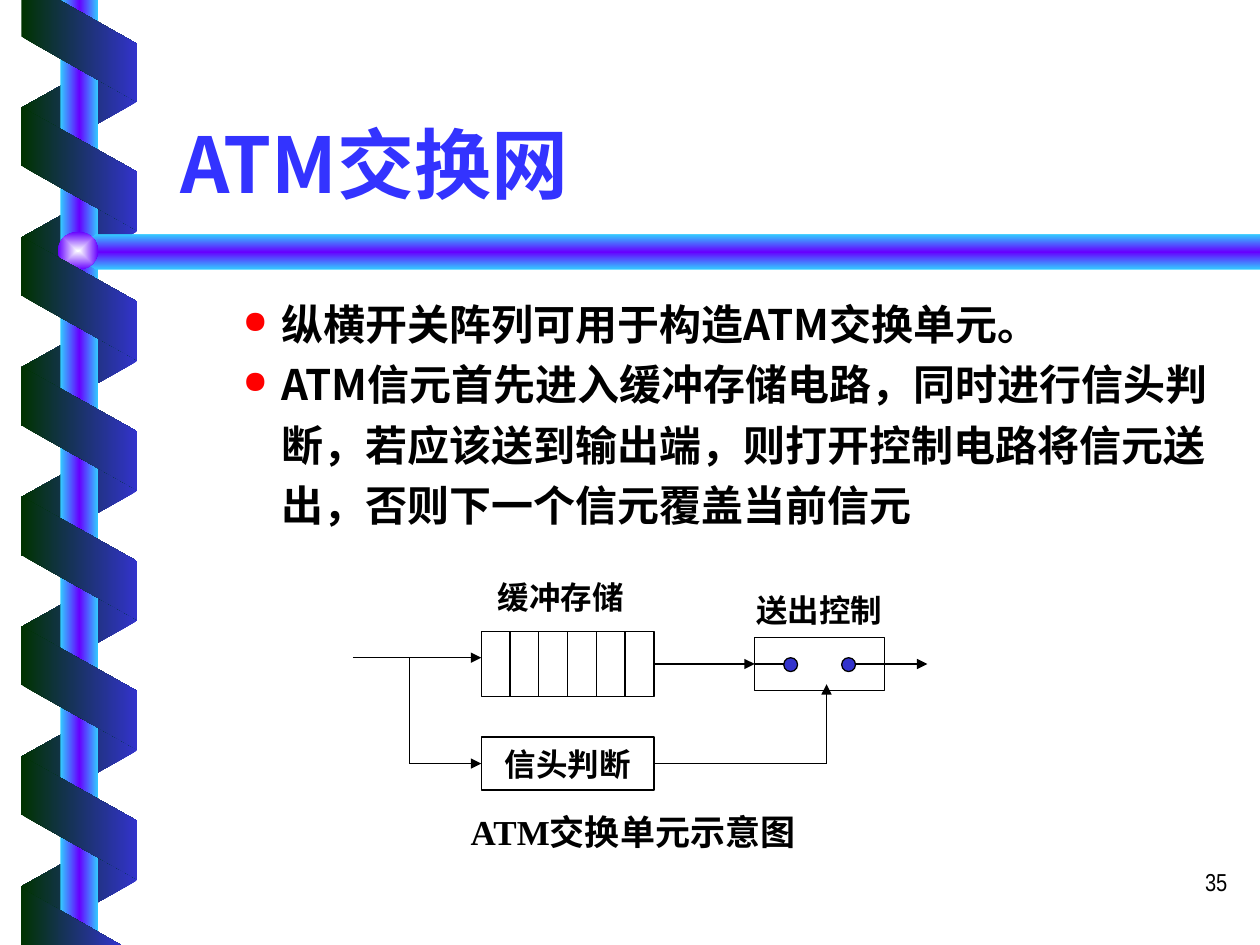
from dataclasses import dataclass
from itertools import pairwise

from lxml import etree
from pptx import Presentation
from pptx.dml.color import RGBColor
from pptx.enum.shapes import MSO_CONNECTOR, MSO_SHAPE
from pptx.enum.text import MSO_ANCHOR, PP_ALIGN
from pptx.oxml.ns import qn
from pptx.util import Inches, Pt

RECT, OVAL, SLANT = MSO_SHAPE.RECTANGLE, MSO_SHAPE.OVAL, MSO_SHAPE.PARALLELOGRAM
LINE = MSO_CONNECTOR.STRAIGHT
LEFT, MID, RIGHT = PP_ALIGN.LEFT, PP_ALIGN.CENTER, PP_ALIGN.RIGHT
TOP, CENTER, BOTTOM = MSO_ANCHOR.TOP, MSO_ANCHOR.MIDDLE, MSO_ANCHOR.BOTTOM


@dataclass(frozen=True)
class Theme:
    title: str = "3333FF"
    ink: str = "000000"
    bullet: str = "FF0000"
    dot: str = "3333CC"
    ribbon: tuple = ("003300", "3333CC")
    pole: tuple = ("33CCFF", "6600FF", "33CCFF")
    ball: tuple = ("FEFFFF", "6600FF")
    sans: str = "Noto Sans CJK SC"
    serif: str = "Times New Roman"
    narrow: str = "Arial Narrow"
    head: int = 44
    body: int = 24
    note: int = 20
    label: int = 18
    page: int = 14
    stroke: float = 0.75


THEME = Theme()


def add_xml(parent, tag, **attrs):
    return etree.SubElement(parent, qn(tag), attrs)


def blend(shape, colors, angle=0, radial=False):
    """Fill with evenly spaced gradient stops that do not turn with the shape."""
    shape.shadow.inherit = False
    shape.line.fill.background()
    shape.fill.gradient()
    grad = shape.fill._xPr.find(qn("a:gradFill"))
    for child in list(grad):
        grad.remove(child)
    grad.set("rotWithShape", "0")
    stops = add_xml(grad, "a:gsLst")
    for i, color in enumerate(colors):
        stop = add_xml(stops, "a:gs", pos=str(100000 * i // (len(colors) - 1)))
        add_xml(stop, "a:srgbClr", val=color)
    if radial:
        focus = add_xml(grad, "a:path", path="rect")
        add_xml(focus, "a:fillToRect", l="50000", t="50000", r="50000", b="50000")
    else:
        add_xml(grad, "a:lin", ang=str(angle * 60000), scaled="0")


def write(frame, *lines, size, font=THEME.serif, color=THEME.ink, bold=True,
          align=MID, anchor=TOP, pad=0.1, wrap=True, space=None, bullet=None):
    frame.word_wrap = wrap
    frame.vertical_anchor = anchor
    frame.margin_left = frame.margin_right = Inches(pad)
    frame.margin_top = frame.margin_bottom = Inches(0.05)
    for i, line in enumerate(lines):
        para = frame.add_paragraph() if i else frame.paragraphs[0]
        para.alignment = align
        para.space_before = Pt(0)
        if space:
            para.line_spacing = space
        if bullet:
            props = para._p.get_or_add_pPr()
            props.set("marL", str(Inches(0.81)))
            props.set("indent", str(Inches(-0.31)))
            add_xml(add_xml(props, "a:buClr"), "a:srgbClr", val=bullet)
            add_xml(props, "a:buSzPct", val="75000")
            add_xml(props, "a:buChar", char="●")
        run = para.add_run()
        run.text = line
        run.font.size = Pt(size)
        run.font.bold = bold
        run.font.name = font
        run.font.color.rgb = RGBColor.from_string(color)
        add_xml(run._r.get_or_add_rPr(), "a:ea", typeface=THEME.sans)


def add_text(slide, x, y, w, h, *lines, **style):
    box = slide.shapes.add_textbox(Inches(x), Inches(y), Inches(w), Inches(h))
    write(box.text_frame, *lines, **style)


def add_part(slide, kind, x, y, w, h):
    return slide.shapes.add_shape(kind, Inches(x), Inches(y), Inches(w), Inches(h))


def add_frame(slide, kind, x, y, w, h, color=None):
    """Draw a thinly outlined shape, hollow unless a colour is given."""
    shape = add_part(slide, kind, x, y, w, h)
    shape.shadow.inherit = False
    shape.line.color.rgb = RGBColor.from_string(THEME.ink)
    shape.line.width = Pt(THEME.stroke)
    if color:
        shape.fill.solid()
        shape.fill.fore_color.rgb = RGBColor.from_string(color)
    else:
        shape.fill.background()
    return shape


def add_route(slide, x, y, *points, arrow=True):
    """Join points with straight lines; the arrowhead goes on the last one."""
    spots = [(Inches(x + dx), Inches(y + dy)) for dx, dy in points]
    for start, end in pairwise(spots):
        line = slide.shapes.add_connector(LINE, *start, *end)
        line.line.color.rgb = RGBColor.from_string(THEME.ink)
        line.line.width = Pt(THEME.stroke)
        if arrow and end == spots[-1]:
            add_xml(line.line._get_or_add_ln(), "a:tailEnd", type="triangle")
        add_xml(line._element.spPr, "a:effectLst")


def add_outline(slide, x, y, points, colors, angle=0):
    spots = [(Inches(x + dx), Inches(y + dy)) for dx, dy in points]
    path = slide.shapes.build_freeform(*spots[0])
    path.add_line_segments(spots[1:], close=True)
    blend(path.convert_to_shape(), colors, angle)


def add_slants(slide, x, y, count, turn, colors, flip=False):
    for i in range(count):
        shape = add_part(slide, SLANT, x, y + 1.03 * i, 0.98, 0.92)
        shape.adjustments[0] = 0.56
        shape.rotation = turn
        if flip:
            shape._element.spPr.xfrm.set("flipH", "1")
        blend(shape, colors)


def add_helix(slide, x, y, w, h):
    """Wind a ribbon round the pole, with a bar leaving it to the right."""
    add_slants(slide, x, y + 0.37, 7, 90, THEME.ribbon[::-1], flip=True)
    blend(add_part(slide, RECT, x + 0.34, y, 0.3, h), THEME.pole)
    bar = [(w, 1.86), (0.62, 1.86), (0.46, 2), (0.62, 2.14), (w, 2.14)]
    add_outline(slide, x, y, bar, THEME.pole, 90)
    blend(add_part(slide, OVAL, x + 0.32, y + 1.84, 0.32, 0.3), THEME.ball, radial=True)
    add_slants(slide, x, y + 0.88, 6, 270, THEME.ribbon)
    top = [(0.03, 0), (0.03, 0.29), (0.95, 0.81), (0.95, 0.35), (0.33, 0)]
    end = [(0.82, h), (0.03, h - 0.45), (0.03, h)]
    for points in (top, end):
        add_outline(slide, x, y, points, THEME.ribbon)


def add_title(slide, x, y, w, h, text):
    title = slide.shapes.title
    title.left, title.top = Inches(x), Inches(y)
    title.width, title.height = Inches(w), Inches(h)
    write(title.text_frame, text, size=THEME.head, font=THEME.sans,
          color=THEME.title, align=LEFT, anchor=BOTTOM)


def add_switch(slide, x, y, w):
    """Draw the cell buffer, the header check and the output gate."""
    label = dict(size=THEME.label, anchor=CENTER, pad=0)
    step = 1.37 / 6
    for i in range(6):
        add_frame(slide, RECT, x + 1.02 + step * i, y + 0.47, step, 0.52)
    check = add_frame(slide, RECT, x + 1.02, y + 1.31, 1.37, 0.42)
    write(check.text_frame, "信头判断", size=THEME.label, anchor=CENTER, wrap=False)
    add_frame(slide, RECT, x + 3.19, y + 0.52, 1.03, 0.42)
    for dot in (3.42, 3.88):
        add_frame(slide, OVAL, x + dot, y + 0.68, 0.11, 0.11, THEME.dot)

    add_route(slide, x, y, (0, 0.68), (1.02, 0.68))
    add_route(slide, x, y, (0.45, 0.68), (0.45, 1.52), (1.02, 1.52))
    add_route(slide, x, y, (2.39, 0.73), (3.19, 0.73))
    add_route(slide, x, y, (3.19, 0.73), (3.42, 0.73), arrow=False)
    add_route(slide, x, y, (3.99, 0.73), (w, 0.73))
    add_route(slide, x, y, (2.39, 1.52), (3.76, 1.52), (3.76, 0.89))

    add_text(slide, x + 0.91, y, 1.48, 0.4, "缓冲存储", **label)
    add_text(slide, x + 2.96, y + 0.1, 1.48, 0.4, "送出控制", **label)
    add_text(slide, x + 0.11, y + 1.84, 4.23, 0.44, "ATM交换单元示意图", size=THEME.note)


def main():
    deck = Presentation()
    deck.slide_width, deck.slide_height = Inches(10), Inches(7.5)
    slide = deck.slides.add_slide(deck.slide_layouts[5])
    add_helix(slide, 0.14, 0, 9.86, 7.5)
    add_title(slide, 1.33, 0.46, 8.5, 1.25, "ATM交换网")
    add_text(slide, 1.33, 2.24, 8.5, 2.07,
             "纵横开关阵列可用于构造ATM交换单元。",
             "ATM信元首先进入缓冲存储电路，同时进行信头判断，若应该送到输出端，"
             "则打开控制电路将信元送出，否则下一个信元覆盖当前信元",
             size=THEME.body, font=THEME.sans, align=LEFT, space=1.2, bullet=THEME.bullet)
    add_switch(slide, 2.8, 4.54, 4.56)
    add_text(slide, 7.76, 6.83, 2.08, 0.5, "35", size=THEME.page,
             font=THEME.narrow, bold=False, align=RIGHT)
    deck.save("out.pptx")


if __name__ == "__main__":
    main()
